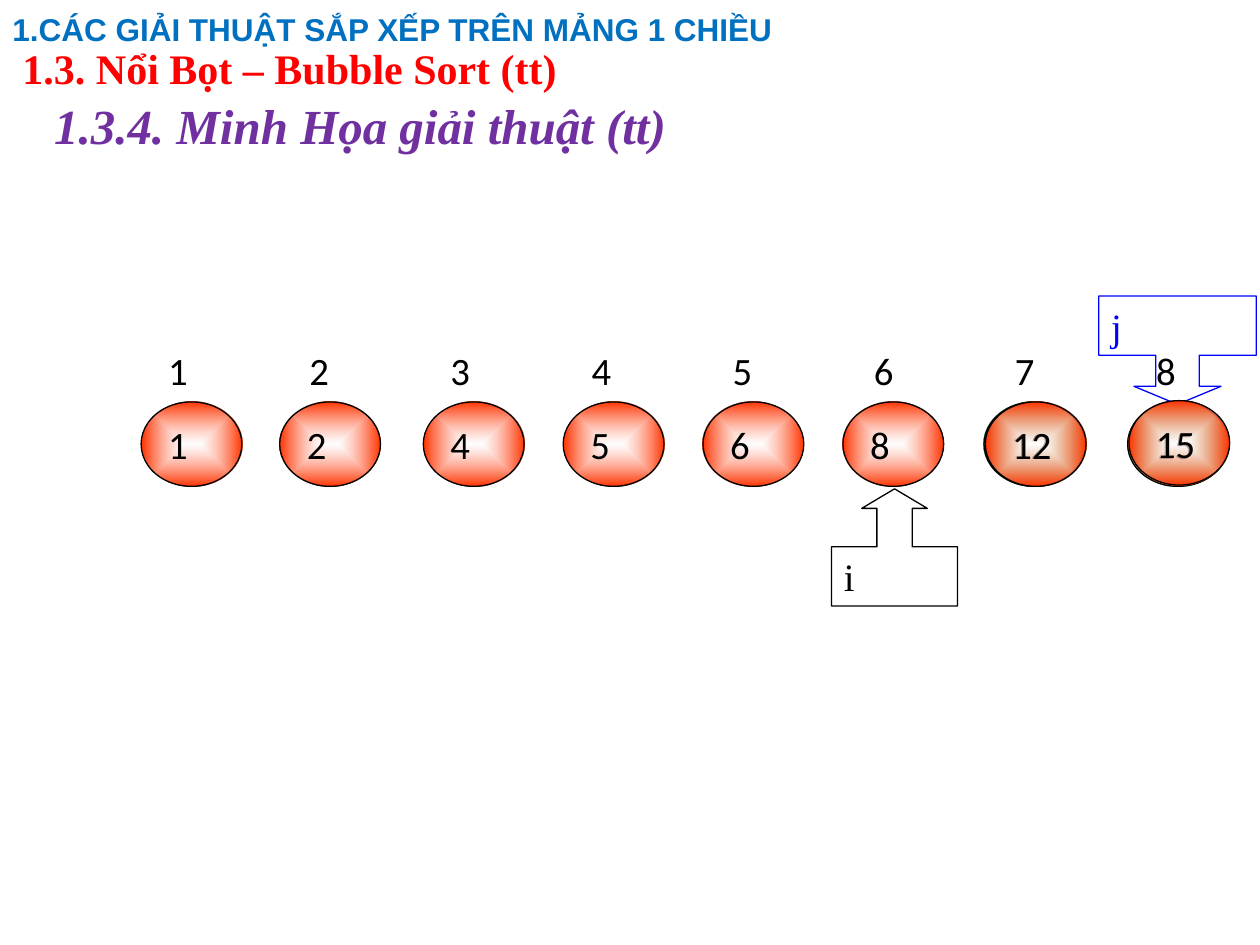
import pptx
import pptx.util
import pptx.dml.color
import pptx.enum.shapes
import pptx.enum.text
import pptx.oxml
import pptx.oxml.ns

Inches = pptx.util.Inches
Pt = pptx.util.Pt
RGBColor = pptx.dml.color.RGBColor
MSO_SHAPE = pptx.enum.shapes.MSO_SHAPE
MSO_ANCHOR = pptx.enum.text.MSO_ANCHOR
PP_ALIGN = pptx.enum.text.PP_ALIGN
qn = pptx.oxml.ns.qn

BLACK = RGBColor(0x00, 0x00, 0x00)
WHITE = RGBColor(0xFF, 0xFF, 0xFF)
BLUE = RGBColor(0x00, 0x00, 0xFF)
SKY = RGBColor(0x00, 0x70, 0xC0)
RED = RGBColor(0xFF, 0x00, 0x00)
PURPLE = RGBColor(0x70, 0x30, 0xA0)
ORANGE = RGBColor(0xFF, 0x33, 0x00)
GREEN = RGBColor(0x33, 0xCC, 0x33)

CHAPTER = {"name": "Arial", "size": Pt(18), "bold": True, "color": SKY}
SECTION = {"name": "Times New Roman", "size": Pt(24), "bold": True, "color": RED}
TITLE = {"name": "Times New Roman", "size": Pt(28), "bold": True,
         "italic": True, "color": PURPLE}
NUMBER = {"name": "Calibri", "size": Pt(22.1), "color": BLACK}
POINTER_I = {"name": "Times New Roman", "size": Pt(22.1), "color": BLACK}
POINTER_J = {**POINTER_I, "color": BLUE}

CELL_W, CELL_H = 0.8, 0.67
VALUES = [("1", 1.12, ORANGE), ("2", 2.22, ORANGE), ("4", 3.36, ORANGE),
          ("5", 4.47, ORANGE), ("6", 5.58, ORANGE), ("8", 6.69, ORANGE),
          ("12", 7.81, GREEN), ("15", 8.95, GREEN)]


def write(sp, text, style, anchor):
    """Put one left-aligned formatted line in a shape."""
    tf = sp.text_frame
    tf.word_wrap = True
    tf.vertical_anchor = anchor
    p = tf.paragraphs[0]
    p.alignment = PP_ALIGN.LEFT
    r = p.add_run()
    r.text = text
    for key, value in style.items():
        if key == "color":
            r.font.color.rgb = value
        else:
            setattr(r.font, key, value)


def place(sp, box):
    """Move and size a shape to a box in inches."""
    for key, value in zip(("left", "top", "width", "height"), box):
        setattr(sp, key, Inches(value))


def heading(sp, box, text, style):
    """Place and write one heading line."""
    place(sp, box)
    write(sp, text, style, MSO_ANCHOR.MIDDLE)
    sp.text_frame.paragraphs[0].line_spacing = 0.9


def add_plain(shapes, kind, box, text, style, line=None):
    """Add an unfilled shape with text and an optional outline."""
    sp = shapes.add_shape(kind, *map(Inches, box))
    sp.shadow.inherit = False
    sp.fill.background()
    if line is None:
        sp.line.fill.background()
    else:
        sp.line.color.rgb = line
        sp.line.width = Pt(0.75)
    write(sp, text, style, MSO_ANCHOR.MIDDLE)
    return sp


def add_ball(shapes, box, text, rim):
    """Add a number ball shaded from translucent white to its rim colour."""
    sp = add_plain(shapes, MSO_SHAPE.OVAL, box, text, NUMBER, BLACK)
    sp.fill.gradient()
    for stop, color in zip(sp.fill.gradient_stops, (WHITE, rim)):
        stop.color.rgb = color
    grad = sp._element.spPr.find(qn("a:gradFill"))
    center = next(grad.iter(qn("a:srgbClr")))
    center.append(pptx.oxml.parse_xml(
        f'<a:alpha {pptx.oxml.ns.nsdecls("a")} val="60000"/>'))
    grad.replace(grad.find(qn("a:lin")), pptx.oxml.parse_xml(
        f'<a:path {pptx.oxml.ns.nsdecls("a")} path="shape">'
        '<a:fillToRect l="50000" t="50000" r="50000" b="50000"/></a:path>'))


def add_indices(shapes, left, top, count, pitch):
    """Add the grouped row of array indices."""
    group = shapes.add_group_shape()
    for i in range(count):
        add_plain(group.shapes, MSO_SHAPE.OVAL,
                  (left + i * pitch, top, CELL_W, CELL_H), str(i + 1), NUMBER)


def add_pointer(shapes, kind, box, text, style, adjustments):
    """Add a callout arrow that marks an index variable."""
    sp = add_plain(shapes, kind, box, text, style, style["color"])
    for i, value in enumerate(adjustments):
        sp.adjustments[i] = value


def add_array(shapes, top):
    """Add the array row with its indices, pointers and sorted balls."""
    for text, left, rim in VALUES:
        add_ball(shapes, (left, top, CELL_W, CELL_H), text, rim)
    add_indices(shapes, 1.12, top - 0.59, len(VALUES), 1.12)
    add_pointer(shapes, MSO_SHAPE.UP_ARROW_CALLOUT, (6.6, top + 0.69, 1, 0.93),
                "i", POINTER_I, (0.301, 0.28, 0.167, 0.505))
    add_pointer(shapes, MSO_SHAPE.DOWN_ARROW_CALLOUT,
                (8.72, top - 0.84, 1.25, 0.86),
                "j", POINTER_J, (0.402, 0.402, 0.167, 0.546))
    add_ball(shapes, (8.96, top - 0.01, CELL_W, CELL_H), "15", ORANGE)
    add_ball(shapes, (7.82, top, CELL_W, CELL_H), "12", ORANGE)


def add_headings(shapes, width):
    """Fill the title and add the chapter and section lines above it."""
    heading(shapes.title, (0.33, 0.67, width, 0.7),
            "1.3.4. Minh Họa giải thuật (tt)", TITLE)
    for box, text, style in (
            ((0, 0, width, 0.5),
             "1.CÁC GIẢI THUẬT SẮP XẾP TRÊN MẢNG 1 CHIỀU", CHAPTER),
            ((0.08, 0.26, width, 0.6),
             "1.3. Nổi Bọt – Bubble Sort (tt)", SECTION)):
        heading(shapes.add_textbox(0, 0, 0, 0), box, text, style)


def main():
    """Build and save the slide."""
    prs = pptx.Presentation()
    prs.slide_width, prs.slide_height = Inches(10), Inches(7.5)
    s = prs.slides.add_slide(prs.slide_layouts[5])
    add_array(s.shapes, 3.19)
    add_headings(s.shapes, 9.29)
    prs.save("out.pptx")


if __name__ == "__main__":
    main()
